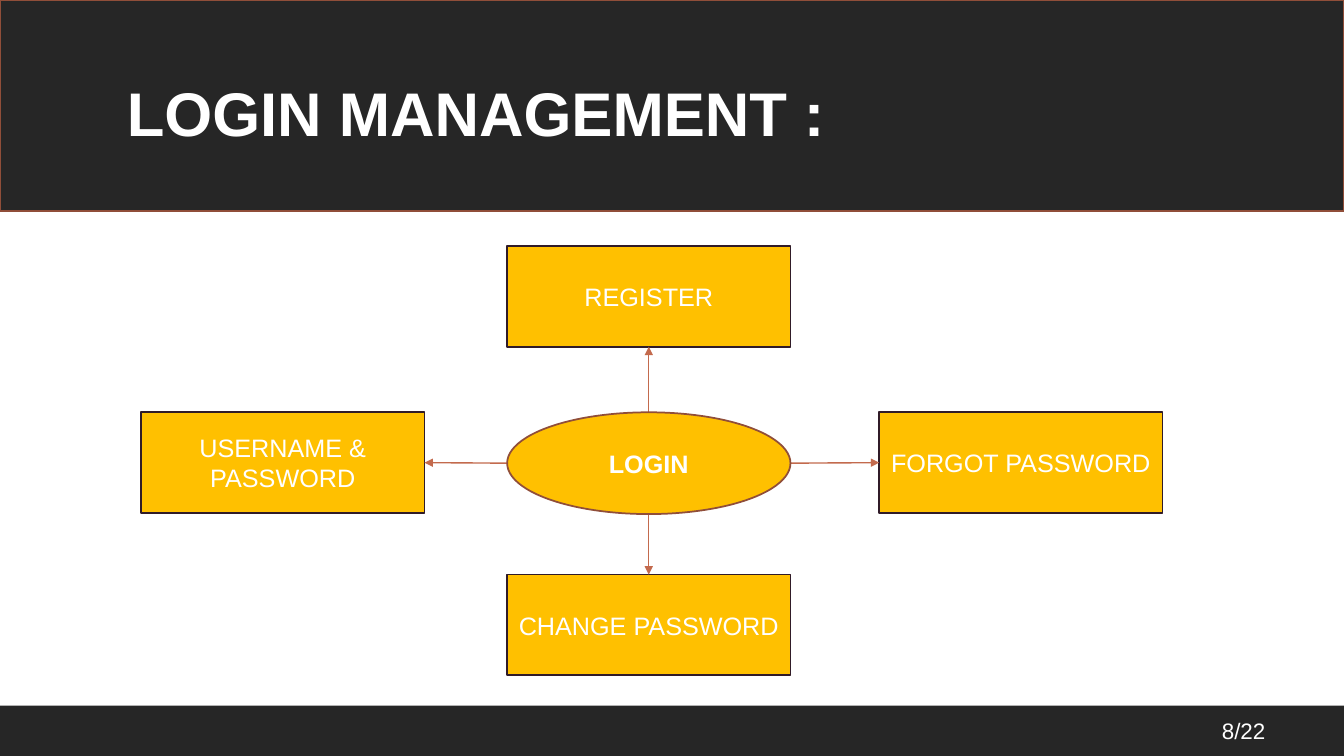
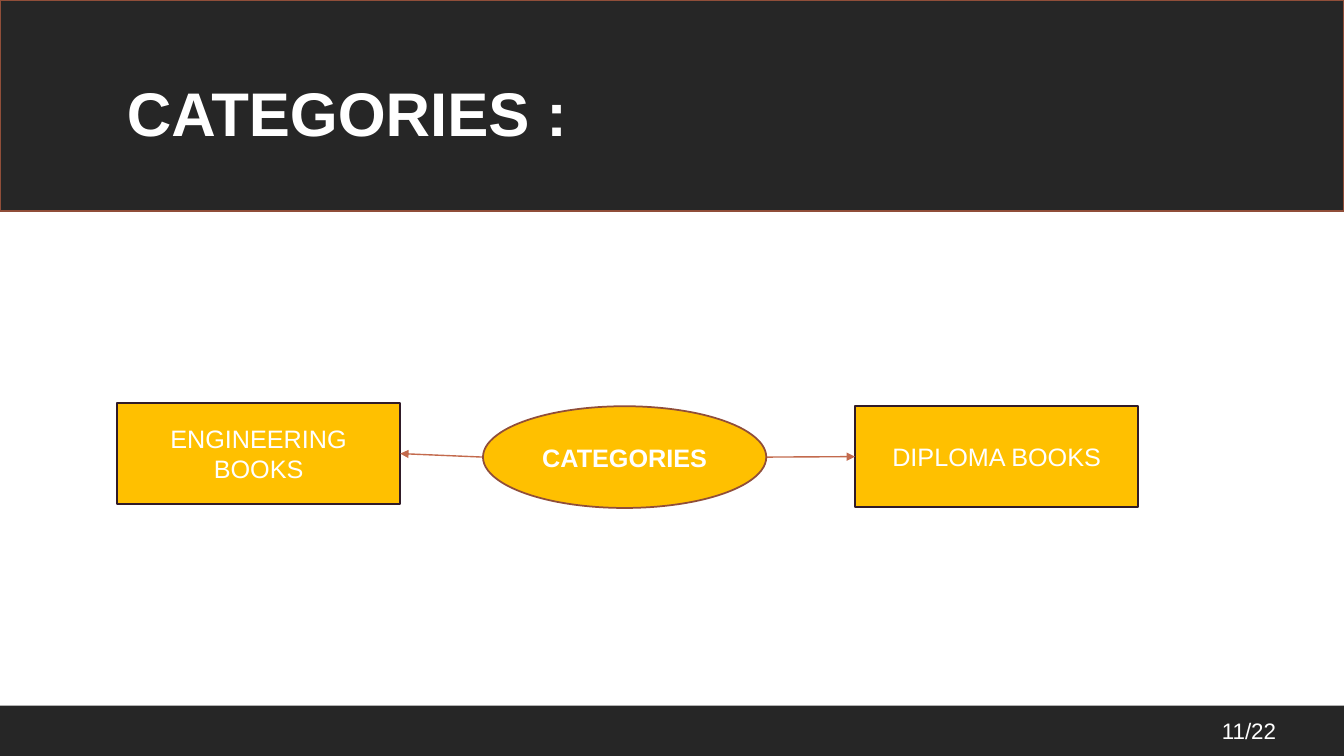
"""Builds two hub-and-box diagram slides with a shared title band and footer."""
from pptx import Presentation
from pptx.dml.color import RGBColor as RGB
from pptx.enum.shapes import MSO_CONNECTOR as CONN, MSO_SHAPE as SHAPE
from pptx.enum.text import MSO_ANCHOR as ANCHOR, MSO_AUTO_SIZE as AUTO, PP_ALIGN as ALIGN
from pptx.oxml.ns import qn
from pptx.util import Inches, Pt
from lxml.etree import SubElement

COLORS = {
    "band": "262626",
    "rust": "904E39",
    "gold": "FFC000",
    "plum": "301B28",
    "arrow": "C36A4D",
    "text": "FFFFFF",
}
FORMATS = {
    "title": {"name": "Arial", "size": Pt(44), "bold": True},
    "hub": {"name": "Arial", "size": Pt(18), "bold": True},
    "box": {"name": "Arial", "size": Pt(18), "bold": False},
    "page": {"name": "Arial", "size": Pt(16), "bold": False},
}
WIDTH, HEIGHT = 13.33, 7.5
BOX_W, BOX_H, HUB_H = 2.81, 1, 1.01
TOP, LEFT, BOTTOM, RIGHT = range(4)
FACING = {TOP: BOTTOM, LEFT: RIGHT, BOTTOM: TOP, RIGHT: LEFT}


class Deck:
    def __init__(self):
        self.prs = Presentation()
        self.prs.slide_width = Inches(WIDTH)
        self.prs.slide_height = Inches(HEIGHT)
        self.s = None

    def slide(self, title, page):
        self.s = self.prs.slides.add_slide(self.prs.slide_layouts[6])
        self.shape(SHAPE.RECTANGLE, (0, 7, WIDTH, 0.5), "band")
        self.shape(SHAPE.RECTANGLE, (0, 0, WIDTH, 2.09), "band", "rust")
        tf = self.label(title, (1.16, 0.69, 10.05, 0.84), "title", ANCHOR.TOP)
        tf.auto_size = AUTO.SHAPE_TO_FIT_TEXT
        self.label(page, (12.02, 7.05, 0.85, 0.4), "page", ANCHOR.MIDDLE)

    def put_text(self, tf, text, style, align, anchor):
        tf.text = text
        tf.word_wrap = True
        tf.vertical_anchor = anchor
        for p in tf.paragraphs:
            p.alignment = align
            for r in p.runs:
                for key, value in FORMATS[style].items():
                    setattr(r.font, key, value)
                r.font.color.rgb = RGB.from_string(COLORS["text"])

    def label(self, text, at, style, anchor):
        tf = self.s.shapes.add_textbox(*map(Inches, at)).text_frame
        self.put_text(tf, text, style, ALIGN.LEFT, anchor)
        return tf

    def shape(self, kind, at, fill, line=None):
        sp = self.s.shapes.add_shape(kind, *map(Inches, at))
        sp.shadow.inherit = False
        sp.fill.solid()
        sp.fill.fore_color.rgb = RGB.from_string(COLORS[fill])
        if line:
            sp.line.color.rgb = RGB.from_string(COLORS[line])
            sp.line.width = Pt(1.25)
        else:
            sp.line.fill.background()
        return sp

    def box(self, text, left, top):
        sp = self.shape(SHAPE.RECTANGLE, (left, top, BOX_W, BOX_H), "gold", "plum")
        self.put_text(sp.text_frame, text, "box", ALIGN.CENTER, ANCHOR.MIDDLE)
        return sp

    def hub(self, text, left, top):
        sp = self.shape(SHAPE.OVAL, (left, top, BOX_W, HUB_H), "gold", "rust")
        self.put_text(sp.text_frame, text, "hub", ALIGN.CENTER, ANCHOR.MIDDLE)

    def arrow(self, x, y, box, side):
        start = Inches(x), Inches(y)
        c = self.s.shapes.add_connector(CONN.STRAIGHT, *start, *start)
        c.end_connect(box, side)
        c.line.color.rgb = RGB.from_string(COLORS["arrow"])
        c.line.width = Pt(1)
        props = c.element.spPr
        SubElement(props.find(qn("a:ln")), qn("a:tailEnd"), type="triangle")
        SubElement(props, qn("a:effectLst"))

    def diagram(self, hub, left, top, boxes):
        middle, center = left + BOX_W / 2, top + HUB_H / 2
        starts = {
            TOP: (middle, top),
            LEFT: (left, center),
            BOTTOM: (middle, top + HUB_H),
            RIGHT: (left + BOX_W, center),
        }
        placed = [(side, self.box(text, x, y)) for side, text, x, y in boxes]
        for side, sp in placed:
            self.arrow(*starts[side], sp, FACING[side])
        self.hub(hub, left, top)


def main():
    deck = Deck()
    deck.slide("LOGIN MANAGEMENT :", "8/22")
    deck.diagram("LOGIN", 5.03, 4.09, [
        (TOP, "REGISTER", 5.03, 2.44),
        (RIGHT, "FORGOT PASSWORD", 8.72, 4.09),
        (BOTTOM, "CHANGE PASSWORD", 5.03, 5.7),
        (LEFT, "USERNAME &\nPASSWORD", 1.4, 4.09),
    ])
    deck.slide("CATEGORIES :", "11/22")
    deck.diagram("CATEGORIES", 4.79, 4.03, [
        (LEFT, "ENGINEERING\nBOOKS", 1.16, 4),
        (RIGHT, "DIPLOMA BOOKS", 8.48, 4.03),
    ])
    deck.prs.save("out.pptx")


if __name__ == "__main__":
    main()
